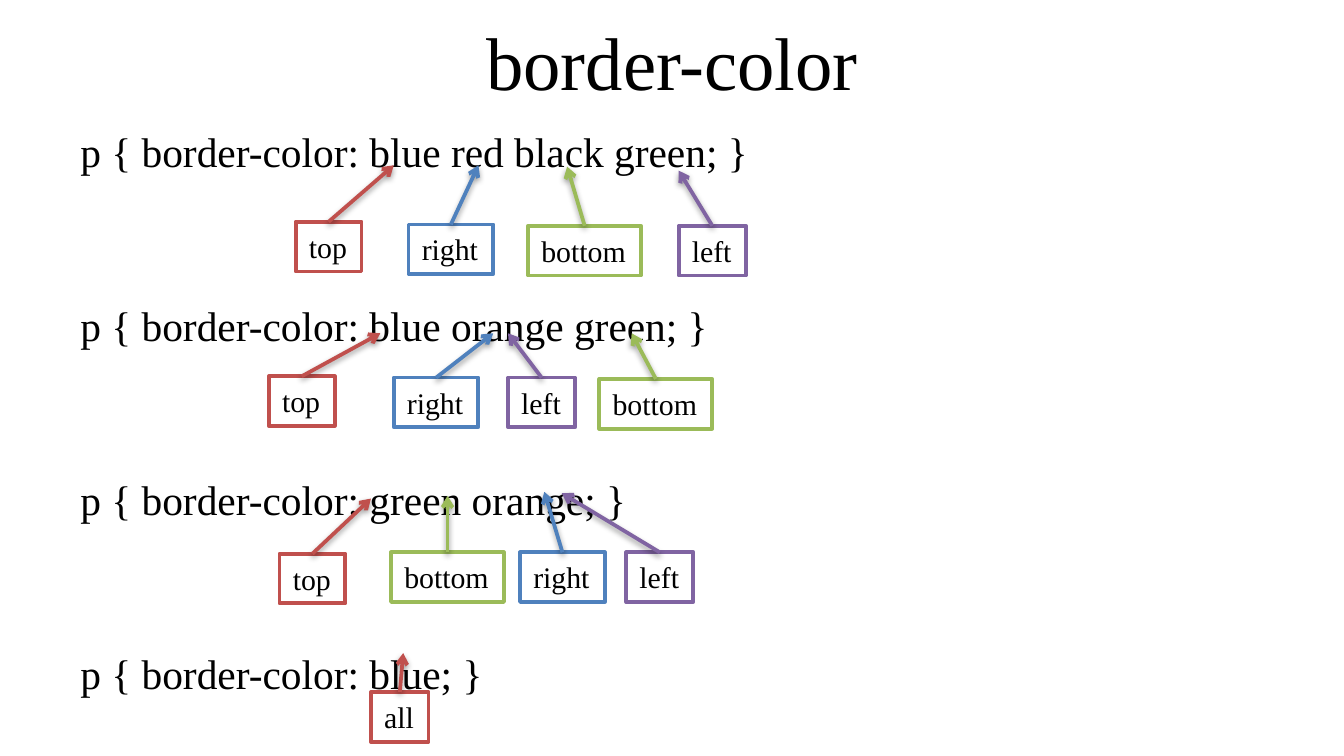
from typing import NamedTuple

from lxml import etree
from pptx import Presentation
from pptx.dml.color import RGBColor
from pptx.enum.shapes import MSO_CONNECTOR, MSO_SHAPE
from pptx.enum.text import MSO_ANCHOR, MSO_AUTO_SIZE, PP_ALIGN
from pptx.oxml import parse_xml
from pptx.oxml.ns import qn
from pptx.util import Inches, Pt

RECT = MSO_SHAPE.RECTANGLE
STRAIGHT = MSO_CONNECTOR.STRAIGHT
TOP, MIDDLE = MSO_ANCHOR.TOP, MSO_ANCHOR.MIDDLE
LEFT, CENTER = PP_ALIGN.LEFT, PP_ALIGN.CENTER
GROW = MSO_AUTO_SIZE.SHAPE_TO_FIT_TEXT

FONT = "Times New Roman"
BLACK, WHITE = "000000", "FFFFFF"
WIDE = 10
HIGH = WIDE * 9 / 16
TAG_HIGH = 0.37
CODE_SIZE = 22.2
CODE_GAP = 66.5

SHADOW = (
    '<a:effectLst xmlns:a="http://schemas.openxmlformats.org/drawingml/2006/main">'
    '<a:outerShdw blurRad="40000" dist="20000" dir="5400000" rotWithShape="0">'
    '<a:srgbClr val="000000"><a:alpha val="38000"/></a:srgbClr>'
    "</a:outerShdw></a:effectLst>"
)


class Side(NamedTuple):
    width: float
    color: str


class Tag(NamedTuple):
    name: str
    left: float
    top: float
    tip: tuple[float, float]


SIDES = {
    "top": Side(0.49, "C0504D"),
    "right": Side(0.63, "4F81BD"),
    "bottom": Side(0.84, "9BBB59"),
    "left": Side(0.5, "8064A2"),
    "all": Side(0.43, "C0504D"),
}

RULES = {
    "p { border-color: blue red black green; }": [
        Tag("top", 2.2, 1.65, (2.93, 1.23)),
        Tag("right", 3.04, 1.67, (3.56, 1.23)),
        Tag("bottom", 3.93, 1.68, (4.22, 1.24)),
        Tag("left", 5.05, 1.68, (5.05, 1.27)),
    ],
    "p { border-color: blue orange green; }": [
        Tag("top", 2, 2.8, (2.83, 2.48)),
        Tag("right", 2.93, 2.81, (3.67, 2.48)),
        Tag("left", 3.78, 2.81, (3.78, 2.48)),
        Tag("bottom", 4.46, 2.82, (4.7, 2.48)),
    ],
    "p { border-color: green orange; }": [
        Tag("top", 2.08, 4.12, (2.76, 3.71)),
        Tag("bottom", 2.91, 4.11, (3.33, 3.69)),
        Tag("right", 3.87, 4.11, (4.05, 3.66)),
        Tag("left", 4.66, 4.11, (4.18, 3.67)),
    ],
    "p { border-color: blue; }": [
        Tag("all", 2.76, 5.15, (3, 4.86)),
    ],
}


def paint(fill, color: str) -> None:
    fill.solid()
    fill.fore_color.rgb = RGBColor.from_string(color)


def add_run(para, text: str, size: float, align=LEFT) -> None:
    para.alignment = align
    run = para.add_run()
    run.text = text
    run.font.name = FONT
    run.font.size = Pt(size)
    paint(run.font.fill, BLACK)


def add_frame(slide, left: float, top: float, width: float, high: float):
    box = slide.shapes.add_textbox(
        Inches(left), Inches(top), Inches(width), Inches(high)
    )
    box.text_frame.word_wrap = True
    return box.text_frame


def add_title(slide, text: str) -> None:
    frame = add_frame(slide, 0.5, -0.02, 9, 0.94)
    frame.vertical_anchor = MIDDLE
    add_run(frame.paragraphs[0], text, 40, CENTER)


def add_code(slide, lines: list[str]) -> None:
    frame = add_frame(slide, 0.5, 0.9, 9, 4.42)
    frame.margin_top = Inches(0.04)
    for i, line in enumerate(lines):
        para = frame.add_paragraph() if i else frame.paragraphs[0]
        para.space_before = Pt(CODE_GAP if i else 0)
        add_run(para, line, CODE_SIZE)


def add_tag(slide, tag: Tag):
    side = SIDES[tag.name]
    box = slide.shapes.add_shape(
        RECT, Inches(tag.left), Inches(tag.top), Inches(side.width), Inches(TAG_HIGH)
    )
    box.shadow.inherit = False
    paint(box.fill, WHITE)
    paint(box.line.fill, side.color)
    box.line.width = Pt(2)
    frame = box.text_frame
    frame.word_wrap = False
    frame.auto_size = GROW
    frame.vertical_anchor = TOP
    add_run(frame.paragraphs[0], tag.name, 16)
    return box


def add_arrow(slide, tag: Tag, box) -> None:
    x, y = map(Inches, tag.tip)
    arrow = slide.shapes.add_connector(STRAIGHT, box.left, box.top, x, y)
    arrow.begin_connect(box, 0)
    paint(arrow.line.fill, SIDES[tag.name].color)
    arrow.line.width = Pt(2)
    etree.SubElement(arrow.get_or_add_ln(), qn("a:tailEnd"), type="arrow")
    arrow._element.spPr.append(parse_xml(SHADOW))


def main() -> None:
    deck = Presentation()
    deck.slide_width, deck.slide_height = Inches(WIDE), Inches(HIGH)
    slide = deck.slides.add_slide(deck.slide_layouts[6])
    add_code(slide, list(RULES))
    add_title(slide, "border-color")
    for tags in RULES.values():
        boxes = [add_tag(slide, tag) for tag in tags]
        for tag, box in zip(tags, boxes):
            add_arrow(slide, tag, box)
    deck.save("out.pptx")


if __name__ == "__main__":
    main()
